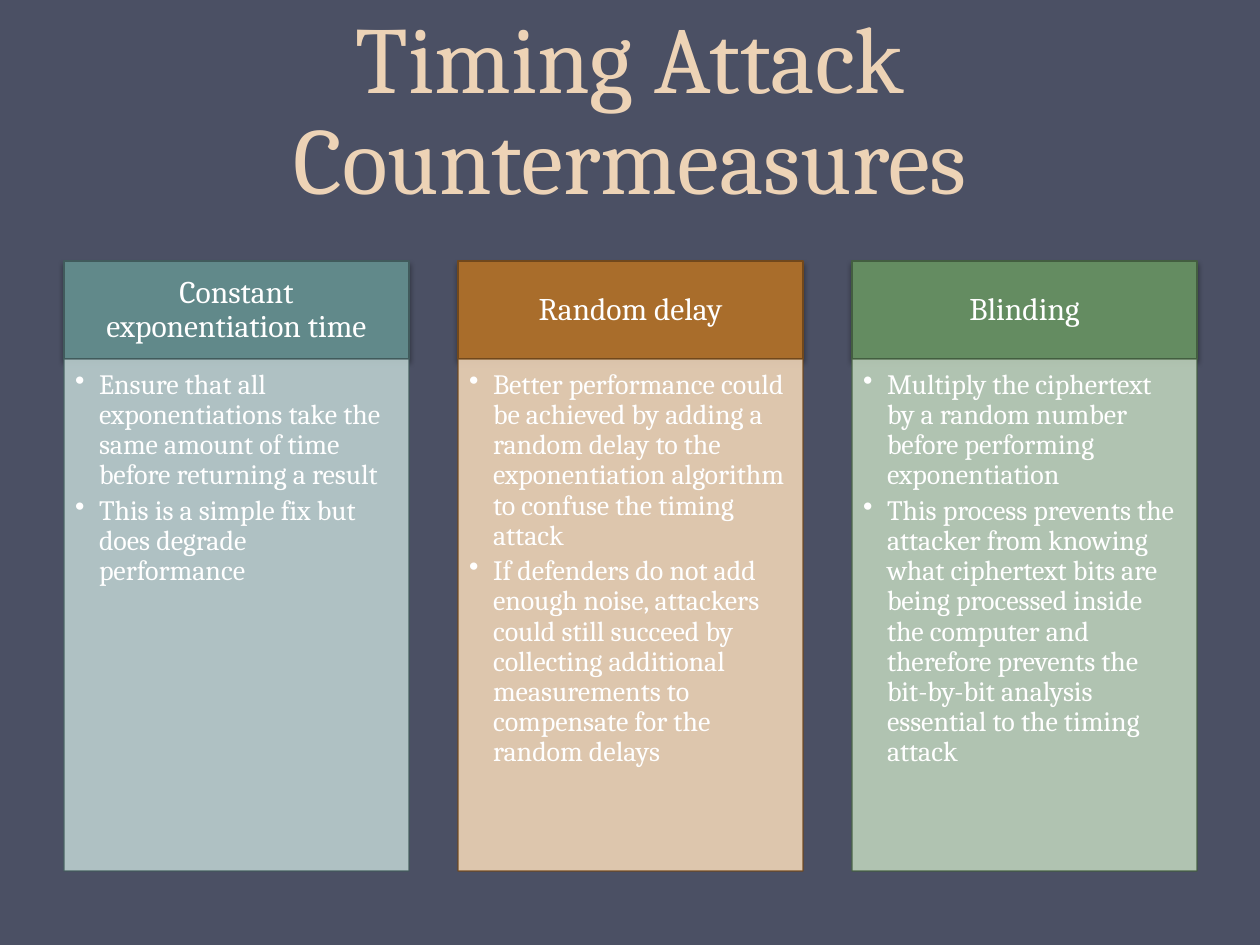
from lxml.etree import SubElement
from pptx import Presentation
from pptx.dml.color import RGBColor
from pptx.enum.shapes import MSO_SHAPE
from pptx.enum.text import MSO_ANCHOR, MSO_AUTO_SIZE, PP_ALIGN
from pptx.oxml.ns import qn
from pptx.util import Pt

PX = 914400 / 126  # EMU in one px
COLORS = {"bg": "4B5064", "title": "EDD3B6", "text": "FFFFFF", "shadow": "000000"}
COLUMNS = [
    ("Constant exponentiation time", "61898A", "BACECE", "415B5C", [
        "Ensure that all exponentiations take the same amount of time before returning a result",
        "This is a simple fix but does degrade performance"]),
    ("Random delay", "A96D2B", "EDD3B6", "71481C", [
        "Better performance could be achieved by adding a random delay to the "
        "exponentiation algorithm to confuse the timing attack",
        "If defenders do not add enough noise, attackers could still succeed by "
        "collecting additional measurements to compensate for the random delays"]),
    ("Blinding", "648C61", "BCD0BA", "435E40", [
        "Multiply the ciphertext by a random number before performing exponentiation",
        "This process prevents the attacker from knowing what ciphertext bits are being "
        "processed inside the computer and therefore prevents the bit-by-bit analysis "
        "essential to the timing attack"]),
]
LEFT, STEP, WIDTH = 64, 394, 345
HEAD_TOP, HEAD_H, BODY_H = 261, 98, 512


def add_box(box, fill, line, margins, anchor):
    sp = s.shapes.add_shape(MSO_SHAPE.RECTANGLE, *[round(v * PX) for v in box])
    sp.shadow.inherit = False
    sp.fill.solid()
    sp.fill.fore_color.rgb = RGBColor.from_string(fill)
    sp.line.color.rgb = RGBColor.from_string(line)
    sp.line.width = Pt(0.75)
    tf = sp.text_frame
    tf.word_wrap = True
    tf.vertical_anchor = anchor
    tf.margin_left, tf.margin_top, tf.margin_right, tf.margin_bottom = [
        round(m * PX) for m in margins]
    return sp


def add_text(p, text, size, color, align, spacing):
    p.alignment = align
    p.line_spacing = spacing
    r = p.add_run()
    r.text = text
    r.font.name = "Cambria"
    r.font.size = Pt(size)
    r.font.color.rgb = RGBColor.from_string(color)


prs = Presentation()
prs.slide_width, prs.slide_height = round(1260 * PX), round(945 * PX)
s = prs.slides.add_slide(prs.slide_layouts[5])
s.background.fill.solid()
s.background.fill.fore_color.rgb = RGBColor.from_string(COLORS["bg"])

# Title
title = s.shapes.title
title.left, title.top, title.width, title.height = [round(v * PX) for v in (63, 0, 1134, 220)]
tf = title.text_frame
tf.word_wrap = True
tf.auto_size = MSO_AUTO_SIZE.NONE
tf.vertical_anchor = MSO_ANCHOR.BOTTOM
add_text(tf.paragraphs[0], "Timing Attack Countermeasures", 54, COLORS["title"],
         PP_ALIGN.CENTER, Pt(58))

for i, (heading, head_fill, body_fill, line, bullets) in enumerate(COLUMNS):
    x = LEFT + i * STEP

    # Column heading with a soft shadow
    head = add_box((x, HEAD_TOP, WIDTH, HEAD_H), head_fill, line,
                   (18, 10, 18, 10), MSO_ANCHOR.MIDDLE)
    add_text(head.text_frame.paragraphs[0], heading, 18, COLORS["text"], PP_ALIGN.CENTER, 0.9)
    effects = head._element.spPr.find(qn("a:effectLst"))
    shadow = SubElement(effects, qn("a:outerShdw"), blurRad=str(Pt(3.1)), dist=str(Pt(1.8)),
                        dir="5400000", rotWithShape="0")
    clr = SubElement(shadow, qn("a:srgbClr"), val=COLORS["shadow"])
    SubElement(clr, qn("a:alpha"), val="35000")

    # Column body, slightly see-through
    body = add_box((x, HEAD_TOP + HEAD_H, WIDTH, BODY_H), body_fill, line,
                   (11, 11, 15, 18), MSO_ANCHOR.TOP)
    for clr in body._element.spPr.iter(qn("a:srgbClr")):
        SubElement(clr, qn("a:alpha"), val="90000")
    tf = body.text_frame
    for j, text in enumerate(bullets):
        p = tf.add_paragraph() if j else tf.paragraphs[0]
        add_text(p, text, 16, COLORS["text"], PP_ALIGN.LEFT, 0.9)
        p.space_after = Pt(3)
        pPr = p._p.get_or_add_pPr()
        pPr.set("marL", str(round(24 * PX)))
        pPr.set("indent", str(round(-24 * PX)))
        SubElement(pPr, qn("a:buChar"), char="•")

prs.save("out.pptx")
